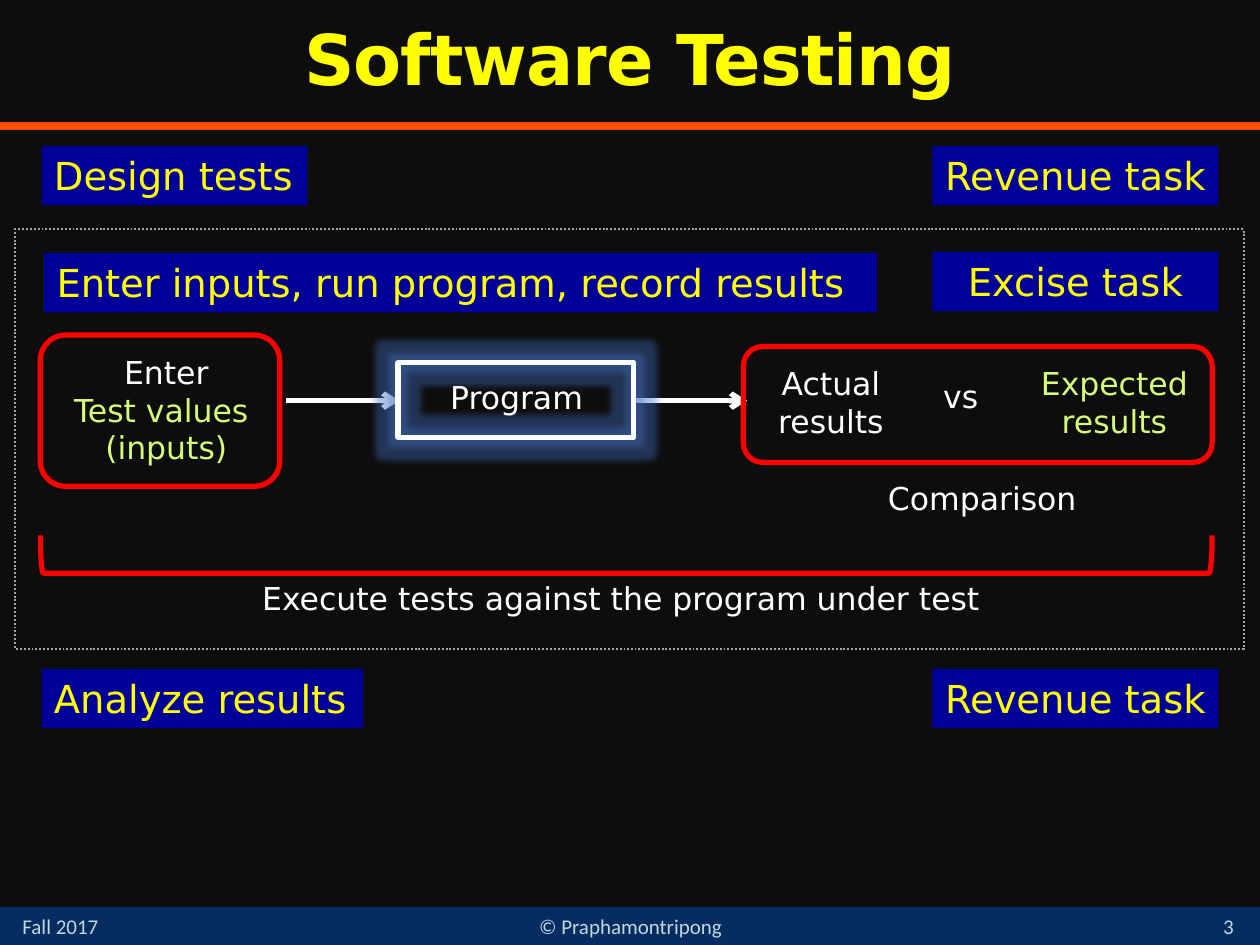
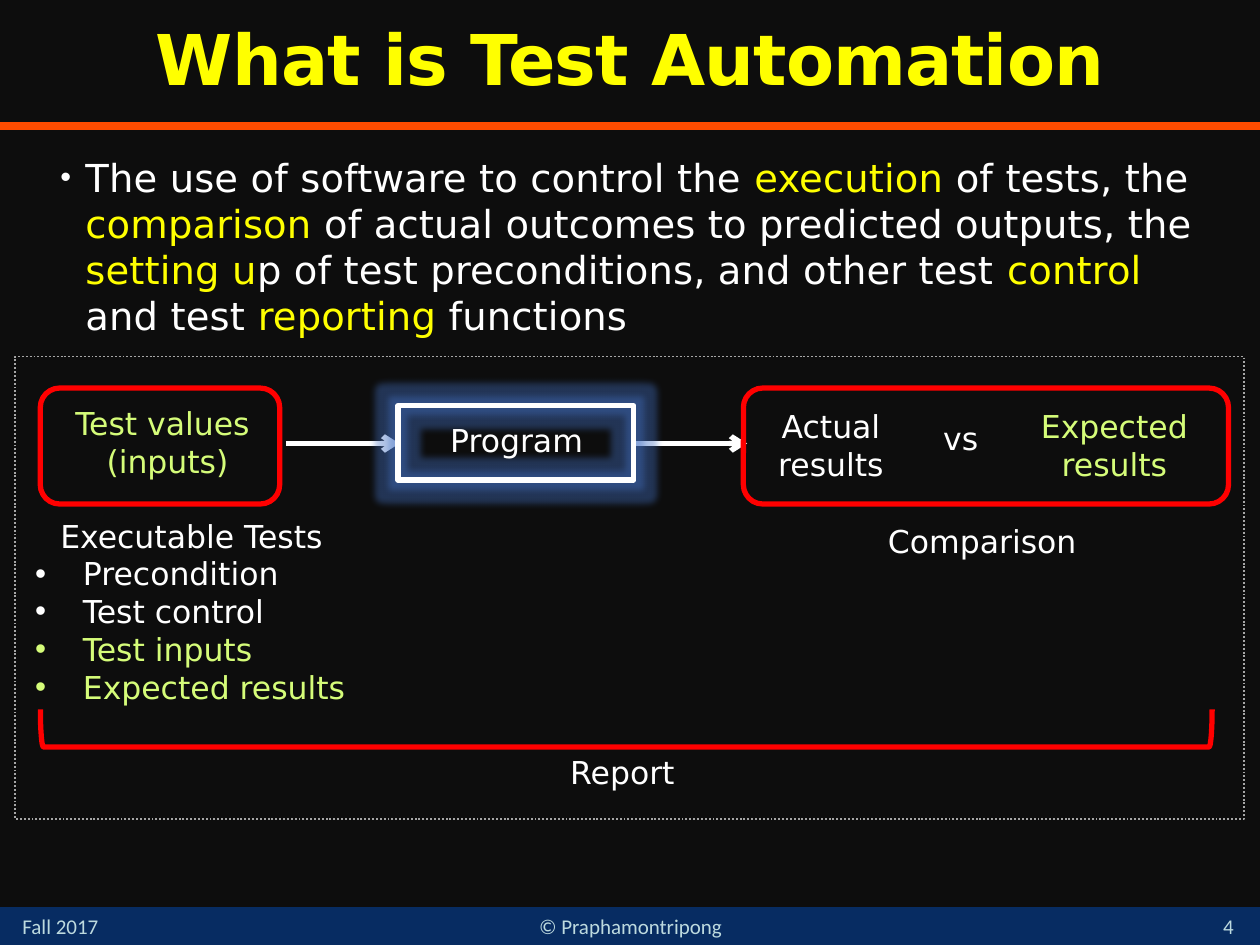
from typing import NamedTuple

from lxml import etree
from pptx import Presentation
from pptx.dml.color import RGBColor
from pptx.enum import dml, shapes, text
from pptx.oxml.ns import qn
from pptx.util import Inches, Pt

COLORS = {
    "background": "0D0D0D", "footer_band": "072C62", "footer_text": "BDDADF",
    "rule": "FF4C00", "yellow": "FFFF00", "white": "FFFFFF", "green": "D5FC79",
    "red": "FF0000", "label": "000099", "dotted": "A6A6A6", "glow": "4472C4",
}
FONT, FOOTER_FONT = "DejaVu Sans", "Calibri"
LEFT, CENTER = text.PP_ALIGN.LEFT, text.PP_ALIGN.CENTER
SHAPE = shapes.MSO_SHAPE


class Rect(NamedTuple):
    left: float
    top: float
    width: float
    height: float

    def lengths(self) -> list:
        return [Inches(side) for side in self]


class Span(NamedTuple):
    words: str
    color: str = "white"


class Bullet(NamedTuple):
    indent: float
    size: int = 100  # percent of the text size


class Para(NamedTuple):
    spans: list
    align: int = CENTER
    bullet: Bullet | None = None


class TextStyle(NamedTuple):
    size: int = 18
    font: str = FONT
    spacing: int = 0  # hundredths of a point
    bold: bool = False


class Label(NamedTuple):
    words: str
    rect: Rect
    align: int = CENTER


DIAGRAM = TextStyle()
LABEL = TextStyle(size=22)
BODY = TextStyle(size=22, spacing=10)
TITLE = TextStyle(size=40, spacing=-50, bold=True)
FOOTER = TextStyle(size=12, font=FOOTER_FONT)


def rgb(name: str) -> RGBColor:
    return RGBColor.from_string(COLORS[name])


def add_child(parent, tag: str, **attributes: str):
    child = etree.SubElement(parent, qn(tag))
    for name, value in attributes.items():
        child.set(name, value)
    return child


# Text
def fill_frame(frame, paras: list[Para], style: TextStyle) -> None:
    for index, item in enumerate(paras):
        para = frame.add_paragraph() if index else frame.paragraphs[0]
        para.alignment = item.align
        if item.bullet:
            properties = para._p.get_or_add_pPr()
            indent = Inches(item.bullet.indent)
            properties.set("marL", str(indent))
            properties.set("indent", str(-indent))
            add_child(properties, "a:buSzPct", val=str(item.bullet.size * 1000))
            add_child(properties, "a:buFont", typeface="Arial")
            add_child(properties, "a:buChar", char="•")
        for words, color in item.spans:
            span = para.add_run()
            span.text = words
            span.font.name = style.font
            span.font.size = Pt(style.size)
            span.font.bold = style.bold
            span.font.color.rgb = rgb(color)
            if style.spacing:
                span._r.get_or_add_rPr().set("spc", str(style.spacing))


def add_text(page, rect: Rect, paras: list[Para], style: TextStyle = DIAGRAM,
             wrap: bool = False, grow: bool = True, fill: str | None = None):
    box = page.shapes.add_textbox(*rect.lengths())
    frame = box.text_frame
    frame.word_wrap = wrap
    frame.auto_size = (text.MSO_AUTO_SIZE.SHAPE_TO_FIT_TEXT if grow
                       else text.MSO_AUTO_SIZE.NONE)
    if fill:
        box.fill.solid()
        box.fill.fore_color.rgb = rgb(fill)
    fill_frame(frame, paras, style)
    return box


def one_line(words: str, color: str = "white", align: int = CENTER) -> list[Para]:
    return [Para([Span(words, color)], align)]


# Shapes and lines
def add_outline(page, kind: int, rect: Rect, color: str, width: float = 3):
    shape = page.shapes.add_shape(kind, *rect.lengths())
    shape.shadow.inherit = False
    shape.fill.background()
    shape.line.color.rgb = rgb(color)
    shape.line.width = Pt(width)
    return shape


def add_line(page, left: float, right: float, y: float, color: str,
             width: float, arrow: bool = False) -> None:
    line = page.shapes.add_connector(shapes.MSO_CONNECTOR.STRAIGHT, Inches(left),
                                     Inches(y), Inches(right), Inches(y))
    line.line.color.rgb = rgb(color)
    line.line.width = Pt(width)
    properties = line._element.spPr
    if arrow:
        add_child(properties.find(qn("a:ln")), "a:tailEnd", type="arrow")
    add_child(properties, "a:effectLst")


def add_glow(shape, color: str, radius: float, opacity: int) -> None:
    effects = shape._element.spPr.find(qn("a:effectLst"))
    glow = add_child(effects, "a:glow", rad=str(Inches(radius)))
    tint = add_child(glow, "a:srgbClr", val=COLORS[color])
    add_child(tint, "a:alpha", val=str(opacity * 1000))


def add_dotted_frame(page, top: float, height: float) -> None:
    frame = add_outline(page, SHAPE.RECTANGLE, Rect(0.12, top, 9.75, height),
                        "dotted", 1.1)
    frame.line.dash_style = dml.MSO_LINE.ROUND_DOT


def add_labels(page, labels: list[Label]) -> None:
    for label in labels:
        add_text(page, label.rect, one_line(label.words, "yellow", label.align),
                 LABEL, fill="label")


# Page furniture
def add_page(deck, title: str, number: int):
    page = deck.slides.add_slide(deck.slide_layouts[5])
    page.background.fill.solid()
    page.background.fill.fore_color.rgb = rgb("background")

    band = page.shapes.add_shape(SHAPE.RECTANGLE, *Rect(0, 7.2, 10, 0.3).lengths())
    band.shadow.inherit = False
    band.fill.solid()
    band.fill.fore_color.rgb = rgb("footer_band")
    band.line.fill.background()
    add_line(page, 0, 10, 1, "rule", 4.5)

    footers = [
        Label("Fall 2017", Rect(0.08, 7.2, 1.17, 0.3), LEFT),
        Label(str(number), Rect(9.5, 7.2, 0.5, 0.3)),
        Label("© Praphamontripong", Rect(3.67, 7.2, 2.67, 0.3)),
    ]
    for footer in footers:
        add_text(page, footer.rect, one_line(footer.words, "footer_text", footer.align),
                 FOOTER, wrap=True, grow=False)

    heading = page.shapes.title
    heading.left, heading.top, heading.width, heading.height = Rect(0, 0, 10, 1).lengths()
    frame = heading.text_frame
    frame.auto_size = text.MSO_AUTO_SIZE.NONE
    frame.vertical_anchor = text.MSO_ANCHOR.MIDDLE
    fill_frame(frame, one_line(title, "yellow"), TITLE)
    frame.paragraphs[0].line_spacing = 0.9
    return page


# Inputs -> program -> results, centred on the arrows
def add_flow(page, axis: float, input_paras: list[Para], input_text: Rect,
             input_frame: Rect, results_frame: Rect) -> None:
    for start in (2.27, 5.03):
        add_line(page, start, start + 0.9, axis, "white", 3, arrow=True)
    add_text(page, input_text, input_paras)
    program = add_outline(page, SHAPE.RECTANGLE,
                          Rect(3.16, axis - 0.3, 1.87, 0.59), "white")
    add_glow(program, "glow", 0.11, 40)
    captions = [
        ("Program", "white", Rect(3.3, axis - 0.23, 1.6, 0.4)),
        ("Actual results", "white", Rect(5.99, axis - 0.34, 1.21, 0.71)),
        ("Expected results", "green", Rect(8.08, axis - 0.34, 1.53, 0.71)),
        ("vs", "white", Rect(6.86, axis - 0.24, 1.53, 0.4)),
    ]
    for words, color, rect in captions:
        add_text(page, rect, one_line(words, color), wrap=True)
    add_text(page, Rect(6.94, axis + 0.57, 1.71, 0.4), one_line("Comparison"))
    for rect in (input_frame, results_frame):
        add_outline(page, SHAPE.ROUNDED_RECTANGLE, rect, "red")


def add_bracket(page, middle: float, words: str, left: float, width: float) -> None:
    depth, span = 0.3, 9.3
    bracket = add_outline(page, SHAPE.RIGHT_BRACKET,
                          Rect(4.97 - depth / 2, middle - span / 2, depth, span), "red")
    bracket.rotation = 90
    add_text(page, Rect(left, middle + 0.15, width, 0.4), one_line(words))


INPUT_VALUES = [Para([Span("Test values ", "green")]), Para([Span("(inputs)", "green")])]


def build_software_testing(deck) -> None:
    page = add_page(deck, "Software Testing", 3)
    add_flow(page, 3.18, one_line("Enter") + INPUT_VALUES, Rect(0.47, 2.75, 1.7, 1.01),
             Rect(0.32, 2.66, 1.9, 1.2), Rect(5.9, 2.75, 3.72, 0.92))
    add_bracket(page, 4.4, "Execute tests against the program under test", 1.88, 6.1)
    add_dotted_frame(page, 1.82, 3.33)
    add_labels(page, [
        Label("Design tests", Rect(0.33, 1.16, 2.11, 0.47), LEFT),
        Label("Enter inputs, run program, record results",
              Rect(0.35, 2.01, 6.61, 0.47), LEFT),
        Label("Analyze results", Rect(0.33, 5.31, 2.55, 0.47), LEFT),
        Label("Revenue task", Rect(7.4, 1.16, 2.27, 0.47)),
        Label("Excise task", Rect(7.4, 2, 2.27, 0.47)),
        Label("Revenue task", Rect(7.4, 5.31, 2.27, 0.47)),
    ])


def build_test_automation(deck) -> None:
    page = add_page(deck, "What is Test Automation", 4)
    definition = [
        Span("The use of software to control the "), Span("execution", "yellow"),
        Span(" of tests, the "), Span("comparison", "yellow"),
        Span(" of actual outcomes to predicted outputs, the "),
        Span("setting u", "yellow"),
        Span("p of test preconditions, and other test "), Span("control", "yellow"),
        Span(" and test "), Span("reporting", "yellow"), Span(" functions"),
    ]
    add_text(page, Rect(0.38, 1.17, 9.29, 5.58),
             [Para(definition, LEFT, Bullet(0.2, 80))], BODY, wrap=True, grow=False)
    add_flow(page, 3.52, INPUT_VALUES, Rect(0.48, 3.16, 1.7, 0.71),
             Rect(0.32, 3.08, 1.9, 0.92), Rect(5.9, 3.08, 3.85, 0.92))
    test_parts = [Span("Precondition"), Span("Test control"),
                  Span("Test inputs", "green"), Span("Expected results", "green")]
    add_text(page, Rect(0.18, 4.05, 2.68, 1.62), one_line("Executable Tests")
             + [Para([part], LEFT, Bullet(0.38)) for part in test_parts])
    add_bracket(page, 5.78, "Report", 4.42, 1.04)
    add_dotted_frame(page, 2.83, 3.67)


def main() -> None:
    deck = Presentation()
    deck.slide_width, deck.slide_height = Inches(10), Inches(7.5)
    build_software_testing(deck)
    build_test_automation(deck)
    deck.save("out.pptx")


if __name__ == "__main__":
    main()
